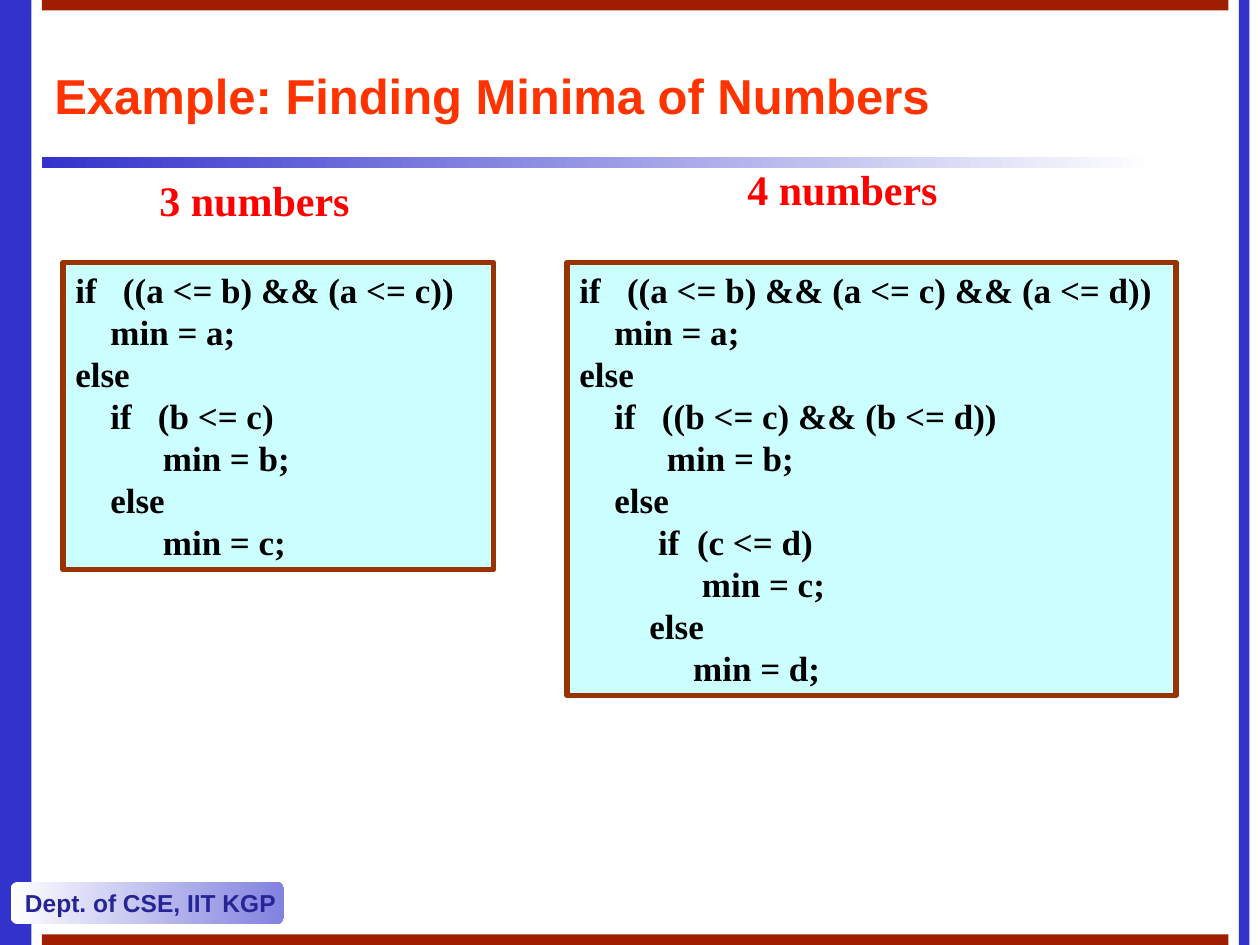
from dataclasses import dataclass

from pptx import Presentation
from pptx.dml.color import RGBColor
from pptx.enum.shapes import MSO_SHAPE
from pptx.enum.text import MSO_ANCHOR, MSO_AUTO_SIZE, PP_ALIGN
from pptx.util import Pt

RECTANGLE = MSO_SHAPE.RECTANGLE
ROUNDED = MSO_SHAPE.ROUNDED_RECTANGLE
TOP, MIDDLE = MSO_ANCHOR.TOP, MSO_ANCHOR.MIDDLE
GROW = MSO_AUTO_SIZE.SHAPE_TO_FIT_TEXT
FIXED = MSO_AUTO_SIZE.NONE
LEFT = PP_ALIGN.LEFT


@dataclass(frozen=True)
class Theme:
    sans: str = "Arial"
    serif: str = "Times New Roman"
    title_size: int = 28
    heading_size: int = 24
    code_size: int = 20
    footer_size: int = 14
    blue: str = "3333CC"
    pale_blue: str = "8282E0"
    footer_ink: str = "252595"
    white: str = "FFFFFF"
    brick: str = "A01E00"
    title_ink: str = "FF3300"
    heading_ink: str = "FF0000"
    code_ink: str = "000000"
    code_fill: str = "CCFFFF"
    code_border: str = "993300"
    border_width: int = 3
    space_width: int = 5  # one blank of the code type, in points


def write_text(shape, lines, *, font, size, color, anchor=TOP, wrap=True, auto_size=FIXED):
    """Write lines of (text, left margin, hanging indent), all bold."""
    frame = shape.text_frame
    frame.word_wrap = wrap
    frame.auto_size = auto_size
    frame.vertical_anchor = anchor
    for index, (text, margin, hanging) in enumerate(lines):
        paragraph = frame.add_paragraph() if index else frame.paragraphs[0]
        paragraph.alignment = LEFT
        properties = paragraph._p.get_or_add_pPr()
        properties.set("marL", str(Pt(margin + hanging)))
        properties.set("indent", str(Pt(-hanging)))
        run = paragraph.add_run()
        run.text = text
        run.font.name = font
        run.font.size = Pt(size)
        run.font.bold = True
        run.font.color.rgb = RGBColor.from_string(color)


class SlideBuilder:
    def __init__(self, slide, theme):
        self.slide = slide
        self.theme = theme

    def block(self, left, top, width, height, fill, kind=RECTANGLE):
        """Add a borderless shape; a pair of colours makes a left-to-right gradient."""
        shape = self.slide.shapes.add_shape(kind, Pt(left), Pt(top), Pt(width), Pt(height))
        shape.shadow.inherit = False
        shape.line.fill.background()
        if isinstance(fill, tuple):
            shape.fill.gradient()
            shape.fill.gradient_angle = 0
            for stop, color, position in zip(shape.fill.gradient_stops, fill, (0, 1)):
                stop.color.rgb = RGBColor.from_string(color)
                stop.position = position
        else:
            shape.fill.solid()
            shape.fill.fore_color.rgb = RGBColor.from_string(fill)
        return shape

    def label(self, left, top, width, height, text, **text_format):
        box = self.slide.shapes.add_textbox(Pt(left), Pt(top), Pt(width), Pt(height))
        write_text(box, [(text, 0, 0)], **text_format)

    def heading(self, left, top, text):
        self.label(left, top, 168, 36, text, font=self.theme.serif,
                   size=self.theme.heading_size, color=self.theme.heading_ink,
                   auto_size=GROW)

    def footer(self, text):
        shape = self.block(6, 504, 156, 24, (self.theme.white, self.theme.pale_blue), ROUNDED)
        write_text(shape, [(text, 0, 0)], font=self.theme.sans, size=self.theme.footer_size,
                   color=self.theme.footer_ink, anchor=MIDDLE, wrap=False)

    def code(self, left, width, height, lines):
        """Add a code panel; lines are (blanks of indent, text, width of the keyword column)."""
        theme = self.theme
        shape = self.block(left, 150, width, height, theme.code_fill)
        shape.line.color.rgb = RGBColor.from_string(theme.code_border)
        shape.line.width = Pt(theme.border_width)
        rows = [(text, blanks * theme.space_width, hanging) for blanks, text, hanging in lines]
        write_text(shape, rows, font=theme.serif, size=theme.code_size,
                   color=theme.code_ink, auto_size=GROW)


def main():
    theme = Theme()
    presentation = Presentation()
    presentation.slide_width = Pt(720)
    presentation.slide_height = Pt(540)
    builder = SlideBuilder(
        presentation.slides.add_slide(presentation.slide_layouts[6]), theme)

    builder.block(0, 0, 18, 540, theme.blue)
    builder.block(24, 90, 636, 6, (theme.blue, theme.white))
    builder.footer("Dept. of CSE, IIT KGP")
    builder.block(708, 0, 6, 540, theme.blue)
    for top in (0, 534):
        builder.block(24, top, 678, 6, theme.brick)

    wide, narrow = 27.2, 22.2
    builder.code(36, 246, 175.5, [
        (0, "if\t((a <= b) && (a <= c))", wide),
        (4, "min = a;", 0),
        (0, "else", 0),
        (4, "if\t(b <= c)", wide),
        (10, "min = b;", 0),
        (4, "else", 0),
        (10, "min = c;", 0),
    ])
    builder.code(324, 348, 247.5, [
        (0, "if\t((a <= b) && (a <= c) && (a <= d))", wide),
        (4, "min = a;", 0),
        (0, "else", 0),
        (4, "if\t((b <= c) && (b <= d))", wide),
        (10, "min = b;", 0),
        (4, "else", 0),
        (9, "if\t(c <= d)", narrow),
        (14, "min = c;", 0),
        (8, "else", 0),
        (13, "min = d;", 0),
    ])
    builder.heading(84, 96, "3 numbers")
    builder.heading(420, 90, "4 numbers")
    builder.label(24, 24, 678, 60, "Example: Finding Minima of Numbers", font=theme.sans,
                  size=theme.title_size, color=theme.title_ink, anchor=MIDDLE)

    presentation.save("out.pptx")


if __name__ == "__main__":
    main()
